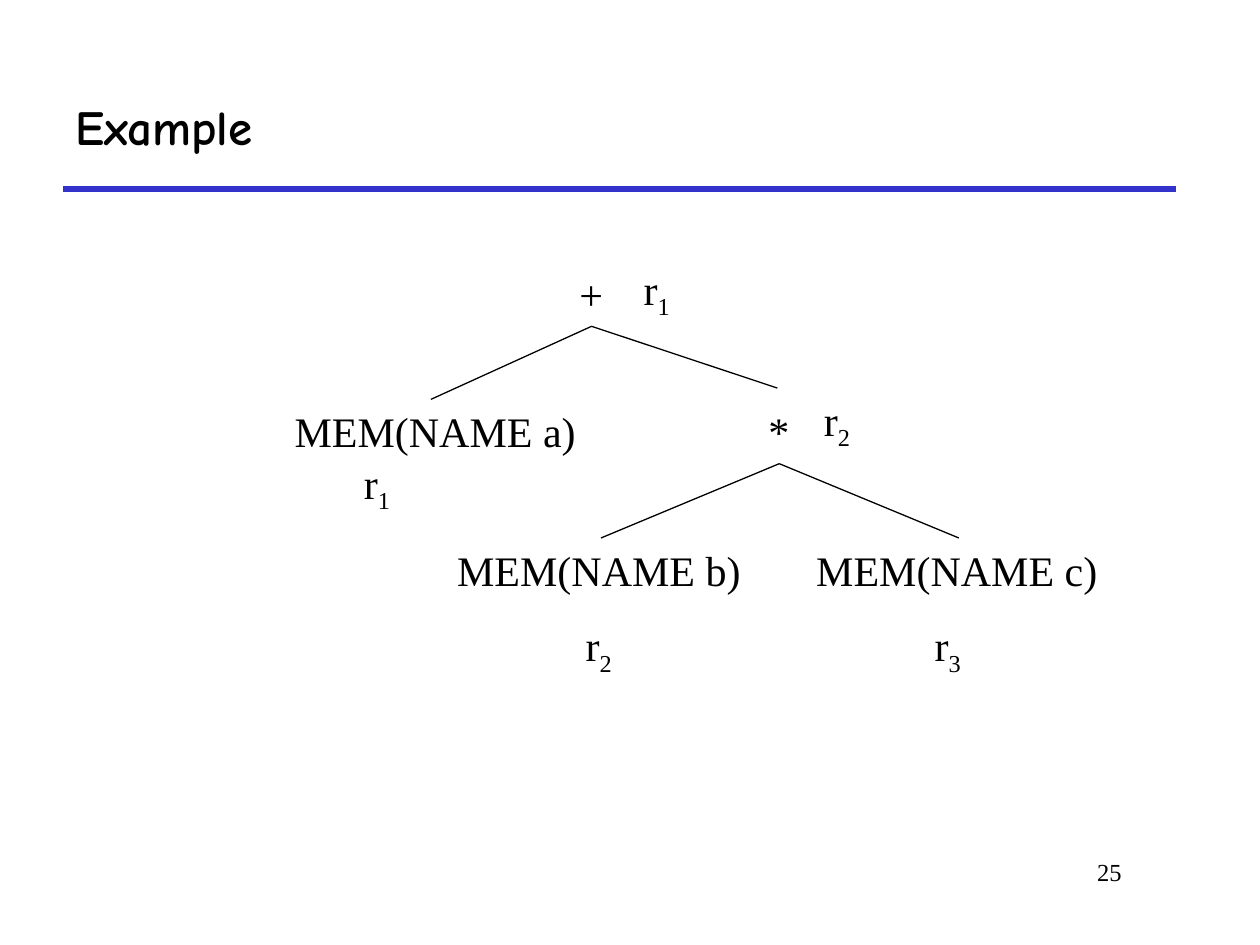
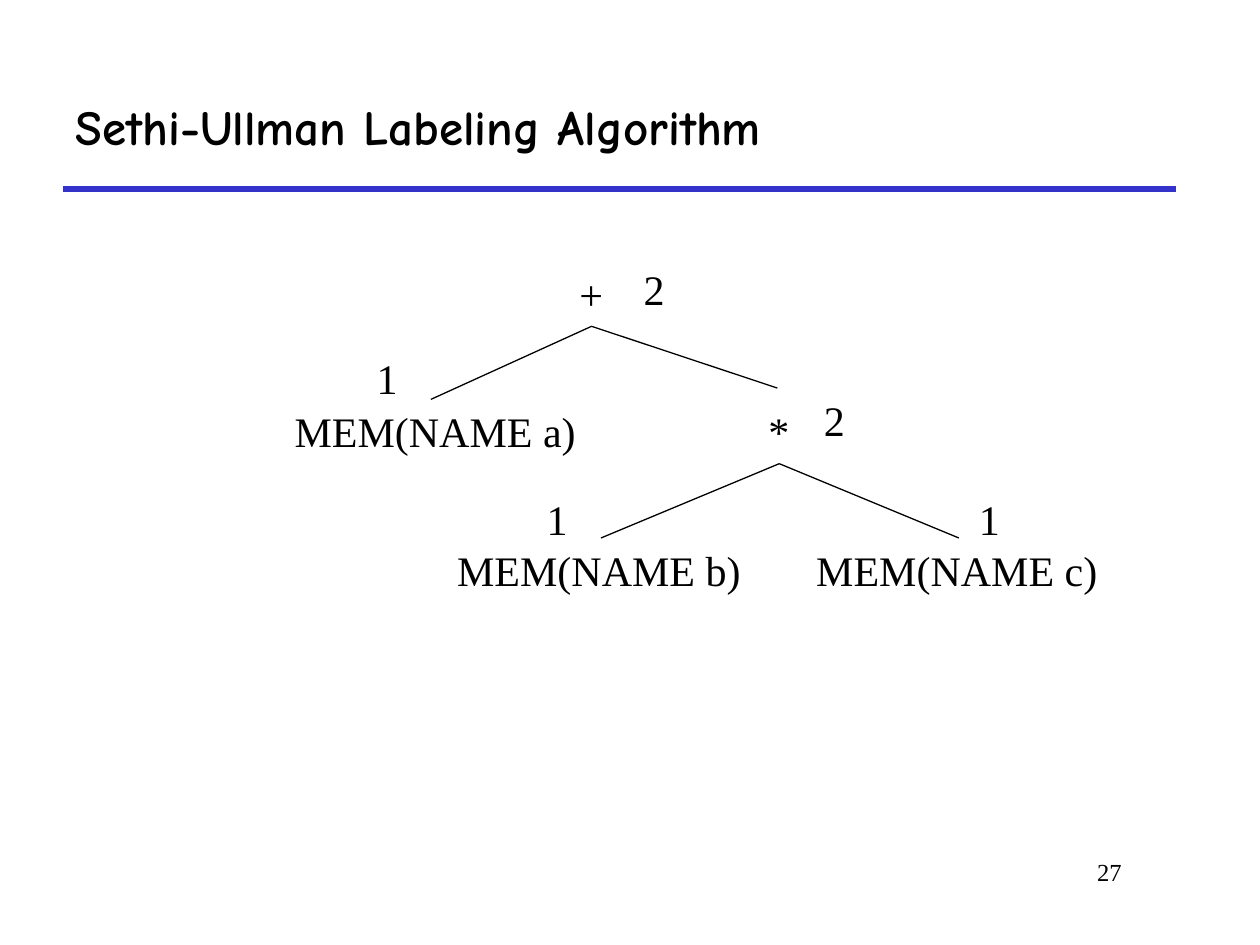
import pptx
import pptx.util
import pptx.dml.color
import pptx.enum.text
import pptx.enum.shapes
import pptx.oxml.ns
import lxml.etree

Inches = pptx.util.Inches
Pt = pptx.util.Pt
Align = pptx.enum.text.PP_ALIGN
Anchor = pptx.enum.text.MSO_ANCHOR
Fit = pptx.enum.text.MSO_AUTO_SIZE

THEME = {
    "ink": "000000",
    "band": "3333CC",
    "head": ("Comic Neue", 28),
    "node": ("Times New Roman", 24),
    "foot": ("Times New Roman", 14),
}

NODES = {
    "plus": ("+", 4.5, 2.08, 0.39),
    "a": ("MEM(NAME a)", 2.24, 3.17, 2.46),
    "b": ("MEM(NAME b)", 3.53, 4.27, 2.48),
    "star": ("*", 6, 3.17, 0.37),
    "c": ("MEM(NAME c)", 6.38, 4.27, 2.46),
}

EDGES = [
    ("plus", None, (4.7, 2.59), (3.42, 3.17)),
    ("plus", None, (4.7, 2.59), (6.17, 3.08)),
    ("star", "b", (6.19, 3.67), (4.77, 4.27)),
    ("star", "c", (6.19, 3.67), (7.61, 4.27)),
]

SLIDES = [
    ("Example", "25", [
        ("r", "1", 2.79, 3.58),
        ("r", "2", 4.55, 4.87),
        ("r", "3", 7.32, 4.87),
        ("r", "2", 6.44, 3.08),
        ("r", "1", 5.01, 2.04),
    ]),
    ("Sethi-Ullman Labeling Algorithm", "27", [
        ("1", "", 2.89, 2.75),
        ("1", "", 4.24, 3.87),
        ("1", "", 7.67, 3.87),
        ("2", "", 6.44, 3.08),
        ("2", "", 5.01, 2.04),
    ]),
]

HIGH = 0.51
TOP, BOTTOM = 0, 2


def color(name):
    return pptx.dml.color.RGBColor.from_string(THEME[name])


def style(para, role, align=Align.LEFT, bold=False):
    para.alignment = align
    font = para.font
    font.name, size = THEME[role]
    font.size = Pt(size)
    font.bold = bold
    font.color.rgb = color("ink")


def label(slide, text, left, top, width, sub=""):
    box = slide.shapes.add_textbox(
        Inches(left), Inches(top), Inches(width), Inches(HIGH))
    frame = box.text_frame
    frame.word_wrap = False
    frame.auto_size = Fit.SHAPE_TO_FIT_TEXT
    para = frame.paragraphs[0]
    para.add_run().text = text
    if sub:
        run = para.add_run()
        run.text = sub
        run._r.get_or_add_rPr().set("baseline", "-25000")
    style(para, "node")
    return box


def line(slide, start, end, tint="ink", width=0.75):
    link = slide.shapes.add_connector(
        pptx.enum.shapes.MSO_CONNECTOR.STRAIGHT,
        *(Inches(v) for v in start + end))
    link.line.color.rgb = color(tint)
    link.line.width = Pt(width)
    lxml.etree.SubElement(
        link._element.spPr, pptx.oxml.ns.qn("a:effectLst"))
    return link


def frame_up(slide, title, number):
    line(slide, (0.5, 1.5), (9.33, 1.5), "band", 3)
    head = slide.shapes.title
    head.left, head.top = Inches(0.5), Inches(0.5)
    head.width, head.height = Inches(8.83), Inches(1)
    head.text_frame.text = title
    head.text_frame.auto_size = Fit.NONE
    head.text_frame.vertical_anchor = Anchor.MIDDLE
    style(head.text_frame.paragraphs[0], "head", bold=True)
    foot = slide.shapes.add_textbox(
        Inches(6.92), Inches(6.75), Inches(2.08), Inches(0.5))
    foot.text_frame.word_wrap = True
    foot.text_frame.text = number
    style(foot.text_frame.paragraphs[0], "foot", Align.RIGHT)


def draw_tree(slide):
    boxes = {key: label(slide, *node) for key, node in NODES.items()}
    for head, tail, start, end in EDGES:
        link = line(slide, start, end)
        link.begin_connect(boxes[head], BOTTOM)
        if tail:
            link.end_connect(boxes[tail], TOP)


def main():
    deck = pptx.Presentation()
    deck.slide_width, deck.slide_height = Inches(10), Inches(7.5)
    for title, number, marks in SLIDES:
        slide = deck.slides.add_slide(deck.slide_layouts[5])
        frame_up(slide, title, number)
        draw_tree(slide)
        for text, sub, left, top in marks:
            label(slide, text, left, top, 0.43 if sub else 0.37, sub)
    deck.save("out.pptx")


if __name__ == "__main__":
    main()
